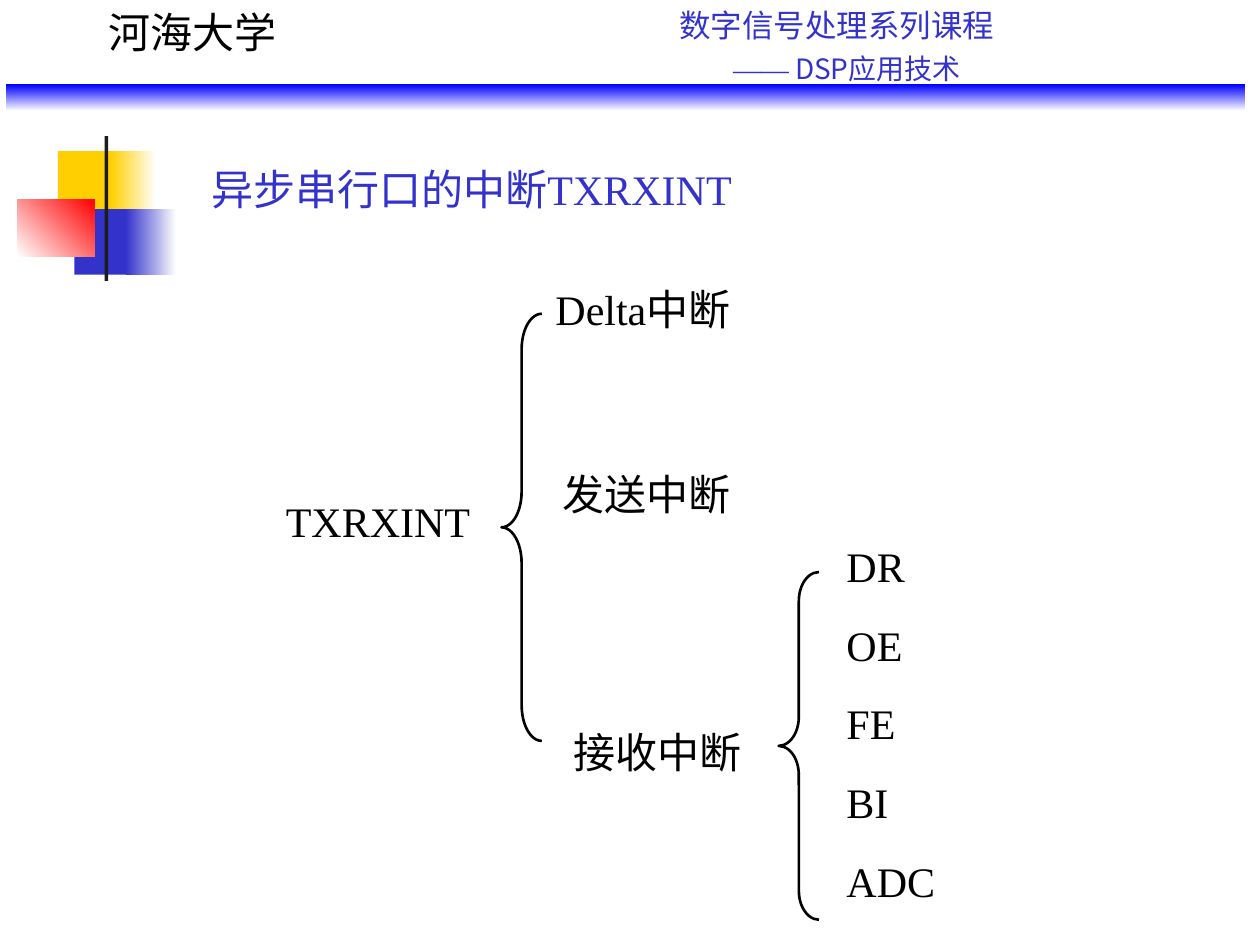
import pptx
import pptx.util
import pptx.dml.color
import pptx.enum.shapes
import pptx.enum.text

Inches = pptx.util.Inches
Pt = pptx.util.Pt
RGBColor = pptx.dml.color.RGBColor

BLACK = RGBColor(0x00, 0x00, 0x00)
WHITE = RGBColor(0xFF, 0xFF, 0xFF)
CHARCOAL = RGBColor(0x1C, 0x1C, 0x1C)
YELLOW = RGBColor(0xFF, 0xCF, 0x01)
RED = RGBColor(0xFF, 0x00, 0x00)
INDIGO = RGBColor(0x33, 0x33, 0xCC)
BLUE = RGBColor(0x00, 0x00, 0xFF)
SERIF = "Times New Roman"
SANS = "Noto Sans CJK SC"


def add_block(slide, left, top, width, height, colors, angle=0):
    """Draw a borderless rectangle in one colour or a two-colour gradient."""
    block = slide.shapes.add_shape(
        pptx.enum.shapes.MSO_SHAPE.RECTANGLE,
        Inches(left), Inches(top), Inches(width), Inches(height))
    block.shadow.inherit = False
    block.line.fill.background()
    if len(colors) == 1:
        block.fill.solid()
        block.fill.fore_color.rgb = colors[0]
        return
    block.fill.gradient()
    block.fill.gradient_angle = angle
    for stop, color in zip(block.fill.gradient_stops, colors):
        stop.color.rgb = color


def add_run(paragraph, text, size, font, color):
    """Append one formatted run."""
    run = paragraph.add_run()
    run.text = text
    run.font.size = Pt(size)
    run.font.name = font
    run.font.color.rgb = color


def add_label(slide, left, top, width, text, color=BLACK):
    """Place a one-line 24 pt label."""
    label = slide.shapes.add_textbox(
        Inches(left), Inches(top), Inches(width), Inches(0.5))
    frame = label.text_frame
    frame.word_wrap = False
    add_run(frame.paragraphs[0], text, 24, SERIF, color)


def add_brace(slide, left, top, width, height):
    """Draw a left brace whose curls are a twelfth of its height."""
    brace = slide.shapes.add_shape(
        pptx.enum.shapes.MSO_SHAPE.LEFT_BRACE,
        Inches(left), Inches(top), Inches(width), Inches(height))
    brace.shadow.inherit = False
    brace.fill.background()
    brace.line.color.rgb = BLACK
    brace.line.width = Pt(1.5)
    brace.adjustments[0] = height / (12 * width)


def add_emblem(slide, left, top):
    """Draw the overlapping colour blocks beside the title."""
    add_block(slide, left + 0.32, top + 0.12, 0.48, 0.52, [YELLOW])
    add_block(slide, left + 0.74, top + 0.12, 0.36, 0.52, [YELLOW, WHITE])
    add_block(slide, left + 0.45, top + 0.58, 0.46, 0.52, [INDIGO])
    add_block(slide, left + 0.86, top + 0.58, 0.4, 0.52, [INDIGO, WHITE])
    add_block(slide, left, top + 0.5, 0.61, 0.46, [WHITE, RED], 45)
    add_block(slide, left + 0.69, top, 0.03, 1.15, [CHARCOAL])


def add_header(slide, left, top, width):
    """Place the university, the course name and the rule below them."""
    course = slide.shapes.add_textbox(
        Inches(left + 5.24), Inches(top), Inches(2.7), Inches(0.75))
    frame = course.text_frame
    frame.word_wrap = True
    series, subject = frame.paragraphs[0], frame.add_paragraph()
    for paragraph in (series, subject):
        paragraph.alignment = pptx.enum.text.PP_ALIGN.CENTER
    add_run(series, "数字信号处理系列课程", 18, SANS, INDIGO)
    subject.space_before = Pt(4.5)
    subject._p.get_or_add_pPr().set("marL", str(Inches(0.16)))
    add_run(subject, "——", 16, SERIF, INDIGO)
    add_run(subject, " DSP应用技术", 16, SANS, INDIGO)
    add_block(slide, left, top + 0.67, width, 0.21, [BLUE, WHITE], 270)
    add_label(slide, left + 0.71, top, 1.6, "河海大学")


def add_interrupt_tree(slide, left, top):
    """Lay out the interrupt sources and the receive causes."""
    add_brace(slide, left + 1.81, top + 0.29, 0.32, 3.39)
    add_label(slide, left, top + 1.68, 1.75, "TXRXINT")
    add_label(slide, left + 2.14, top, 1.75, "Delta中断")
    add_label(slide, left + 2.2, top + 1.47, 1.6, "发送中断")
    add_label(slide, left + 2.28, top + 3.52, 1.6, "接收中断")
    add_brace(slide, left + 4.01, top + 2.34, 0.32, 2.76)
    for row, cause in enumerate(["DR", "OE", "FE", "BI", "ADC"]):
        add_label(slide, left + 4.45, top + 2.04 + row * 0.625, 1, cause)


def main():
    """Build the slide and save it."""
    deck = pptx.Presentation()
    deck.slide_width, deck.slide_height = Inches(10), Inches(7.5)
    slide = deck.slides.add_slide(deck.slide_layouts[6])
    add_emblem(slide, 0.14, 1.08)
    add_header(slide, 0.05, 0, 9.83)
    add_label(slide, 1.58, 1.25, 4.5, "异步串行口的中断TXRXINT", INDIGO)
    add_interrupt_tree(slide, 2.17, 2.2)
    deck.save("out.pptx")


if __name__ == "__main__":
    main()
